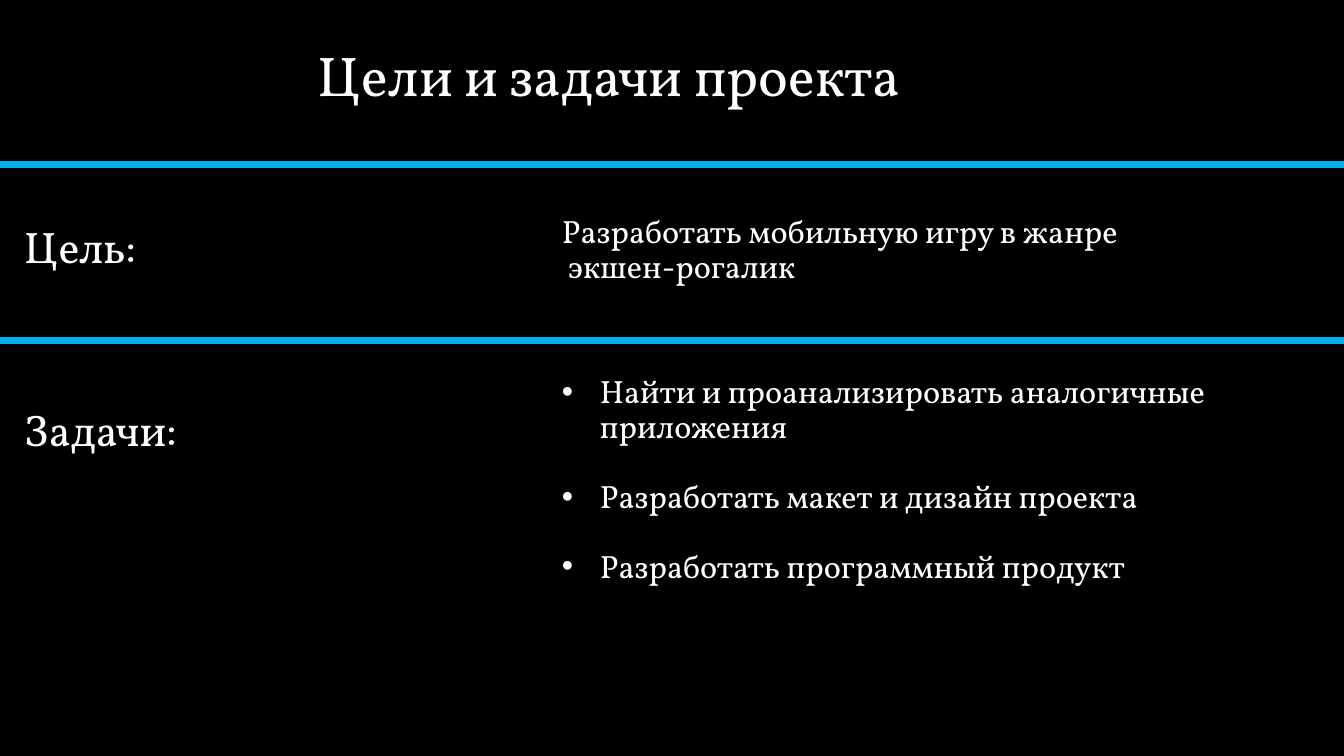
import pptx
import pptx.util
import pptx.dml.color
import pptx.enum.shapes
import pptx.enum.text
import pptx.oxml.ns
import lxml.etree

# Content
TITLE = "Цели и задачи проекта"
GOAL_LABEL = "Цель:"
GOAL_LINES = ["Разработать мобильную игру в жанре", " экшен-рогалик"]
TASKS_LABEL = "Задачи:"
TASKS = [
    "Найти и проанализировать аналогичные приложения",
    "Разработать макет и дизайн проекта",
    "Разработать программный продукт",
]

# Style and layout, lengths in px
COLORS = {"background": "000000", "text": "FFFFFF", "rule": "00B0F0"}
FONT = "Vollkorn"
WIDTH, HEIGHT = 1344, 756
EMU_PER_PX = 914400 / 100.8
RULES_Y = [165, 341]
LABEL_X, BODY_X = 14, 552
LABEL_HEIGHT = 44
BULLET_INDENT = 38
TASK_GAP = 25  # points, one line


def px(length):
    return pptx.util.Emu(round(length * EMU_PER_PX))


def color(name):
    return pptx.dml.color.RGBColor.from_string(COLORS[name])


def add_rule(page, y):
    rule = page.shapes.add_connector(
        pptx.enum.shapes.MSO_CONNECTOR.STRAIGHT, 0, px(y), px(WIDTH), px(y))
    rule.line.color.rgb = color("rule")
    rule.line.width = pptx.util.Pt(5)
    lxml.etree.SubElement(rule._element.spPr, pptx.oxml.ns.qn("a:effectLst"))


def add_bullet(para):
    properties = para._p.get_or_add_pPr()
    properties.set("marL", str(px(BULLET_INDENT)))
    properties.set("indent", str(-px(BULLET_INDENT)))
    font = lxml.etree.SubElement(properties, pptx.oxml.ns.qn("a:buFont"))
    font.set("typeface", "Arial")
    mark = lxml.etree.SubElement(properties, pptx.oxml.ns.qn("a:buChar"))
    mark.set("char", "•")


def add_text(page, bounds, lines, size, spacing=1.0, gap=0, bulleted=False,
             anchor=pptx.enum.text.MSO_ANCHOR.BOTTOM, wrap=True):
    box = page.shapes.add_textbox(*map(px, bounds))
    frame = box.text_frame
    frame.word_wrap = wrap
    frame.vertical_anchor = anchor
    for index, line in enumerate(lines):
        para = frame.add_paragraph() if index else frame.paragraphs[0]
        para.line_spacing = spacing
        para.space_before = pptx.util.Pt(gap if index else 0)
        if bulleted:
            add_bullet(para)
        span = para.add_run()
        span.text = line
        span.font.name = FONT
        span.font.size = pptx.util.Pt(size)
        span.font.color.rgb = color("text")


def main():
    deck = pptx.Presentation()
    deck.slide_width, deck.slide_height = px(WIDTH), px(HEIGHT)
    page = deck.slides.add_slide(deck.slide_layouts[6])
    page.background.fill.solid()
    page.background.fill.fore_color.rgb = color("background")

    # Dividing rules
    for y in RULES_Y:
        add_rule(page, y)

    # Title
    add_text(page, (308, 36, 611, 78), [TITLE], 40,
             anchor=pptx.enum.text.MSO_ANCHOR.TOP, wrap=False)

    # Section labels
    for label, y in [(GOAL_LABEL, 232), (TASKS_LABEL, 415)]:
        add_text(page, (LABEL_X, y, 499, LABEL_HEIGHT), [label], 31.5, 0.7)

    # Goal and tasks
    body_width = WIDTH - BODY_X
    add_text(page, (BODY_X, 180, body_width, 110), GOAL_LINES, 23, 0.9)
    add_text(page, (BODY_X, 370, body_width, 220), TASKS, 23, 0.9,
             gap=TASK_GAP, bulleted=True)

    deck.save("out.pptx")


if __name__ == "__main__":
    main()
